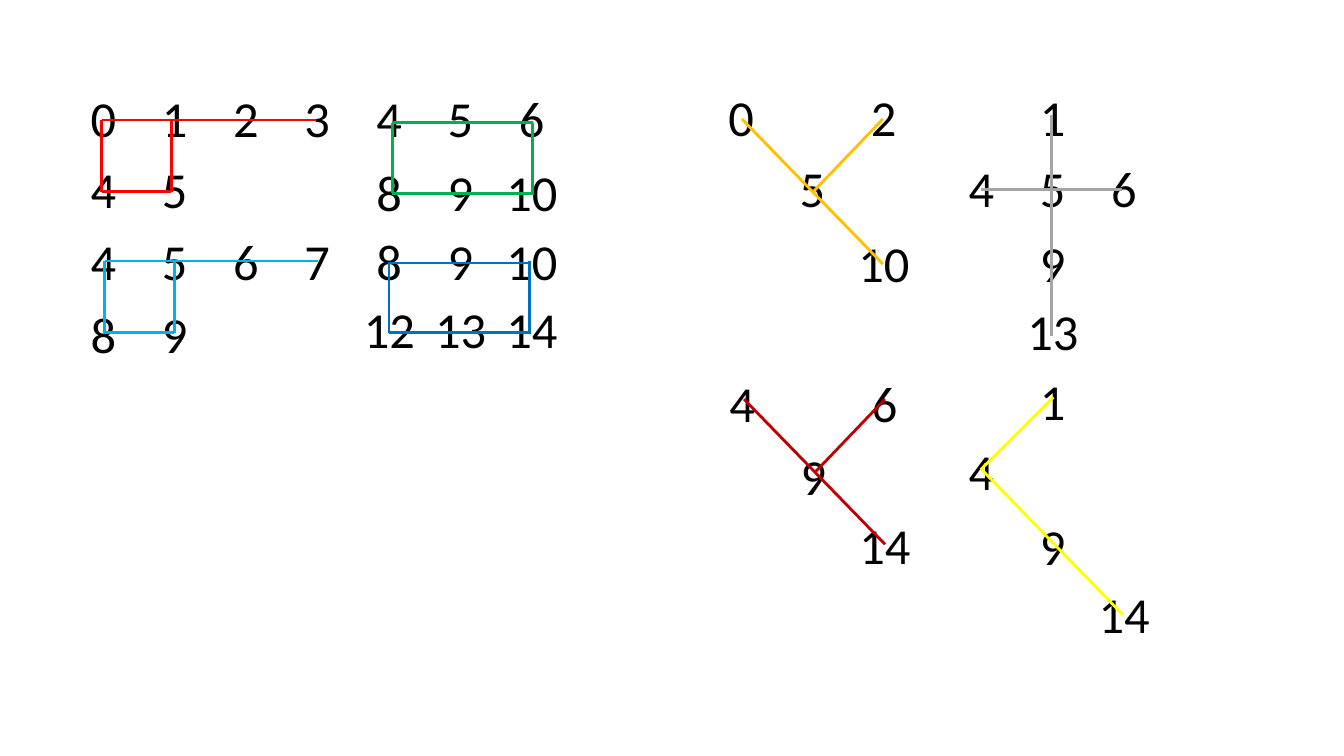
import pptx
import pptx.util
import pptx.dml.color
import pptx.enum.shapes
import pptx.enum.text
import pptx.oxml.ns
import lxml.etree

Pt = pptx.util.Pt

COLORS = {
    "text": "000000",
    "red": "FF0000",
    "cyan": "00B0F0",
    "green": "00B050",
    "blue": "0070C0",
    "orange": "FFC000",
    "crimson": "C00000",
    "gray": "A5A5A5",
    "yellow": "FFFF00",
}
PITCH = 50.9
LABEL_HEIGHT = 50.9
LABEL_WIDTHS = {1: 33.1, 2: 51.1}

# Color, center of the first column, {row top: labels, "." for an empty cell},
# and the lines as (x1, y1, x2, y2).
FIGURES = [
    ("red", 74.2, {59: "0 1 2 3", 109.4: "4 5"},
     [(72.7, 85.7, 72.7, 136.8), (122.4, 85.7, 122.4, 136.8),
      (225.4, 85.7, 72.7, 85.7), (122.4, 136.8, 72.7, 136.8)]),
    ("cyan", 74.2, {160.6: "4 5 6 7", 213.1: "8 9"},
     [(74.9, 186.5, 74.9, 237.6), (124.6, 186.5, 124.6, 237.6),
      (226.8, 186.5, 74.9, 186.5), (124.6, 237.6, 74.9, 237.6)]),
    ("green", 278.4, {59: "4 5 6", 111.6: "8 9 10"},
     [(380.2, 87.8, 380.2, 138.2), (280.1, 87.8, 280.1, 138.2),
      (380.9, 87.8, 280.1, 87.8), (381.6, 138.2, 280.1, 138.2)]),
    ("blue", 278.4, {160.6: "8 9 10", 209.5: "12 13 14"},
     [(378, 186.5, 378, 237.6), (277.9, 188.6, 277.9, 237.6),
      (378, 187.9, 277.2, 187.9), (379.4, 237.6, 277.9, 237.6)]),
    ("orange", 529.8, {58.3: "0 . 2", 108.7: ". 5", 162: ". . 10"},
     [(529.9, 85, 630.7, 188.6), (630.7, 85, 581, 136.8)]),
    ("crimson", 530.5, {262.1: "4 . 6", 314.6: ". 9", 363.6: ". . 14"},
     [(531.4, 285.1, 632.2, 388.8), (632.2, 285.1, 582.5, 337)]),
    ("gray", 701.4, {58.3: ". 1", 108.7: "4 5 6", 162: ". 9", 211: ". 13"},
     [(751, 82.1, 751, 239.8), (700.6, 135.4, 801.4, 135.4)]),
    ("yellow", 701.4, {260.6: ". 1", 311: "4", 364.3: ". 9", 413.3: ". . 14"},
     [(701.3, 335.5, 802.1, 439.2), (752.4, 283.7, 700.6, 335.5)]),
]


def rgb(name):
    return pptx.dml.color.RGBColor.from_string(COLORS[name])


def add_label(s, text, center, top):
    width = LABEL_WIDTHS[len(text)]
    sp = s.shapes.add_textbox(Pt(center - width / 2), Pt(top),
                              Pt(width), Pt(LABEL_HEIGHT))
    tf = sp.text_frame
    tf.word_wrap = False
    tf.auto_size = pptx.enum.text.MSO_AUTO_SIZE.SHAPE_TO_FIT_TEXT
    tf.text = text
    font = tf.paragraphs[0].runs[0].font
    font.name = "Calibri"
    font.size = Pt(36)
    font.color.rgb = rgb("text")


def add_line(s, color, x1, y1, x2, y2):
    cn = s.shapes.add_connector(pptx.enum.shapes.MSO_CONNECTOR.STRAIGHT,
                                Pt(x1), Pt(y1), Pt(x2), Pt(y2))
    cn.line.color.rgb = rgb(color)
    cn.line.width = Pt(2)
    lxml.etree.SubElement(cn._element.spPr, pptx.oxml.ns.qn("a:effectLst"))


def add_figure(s, color, first_center, rows, lines):
    """Number grid with colored lines drawn over it."""
    for top, labels in rows.items():
        for col, text in enumerate(labels.split()):
            if text != ".":
                add_label(s, text, first_center + col * PITCH, top)
    for line in lines:
        add_line(s, color, *line)


def main():
    prs = pptx.Presentation()
    prs.slide_width = Pt(960)
    prs.slide_height = Pt(540)
    s = prs.slides.add_slide(prs.slide_layouts[6])
    for figure in FIGURES:
        add_figure(s, *figure)
    prs.save("out.pptx")


if __name__ == "__main__":
    main()
